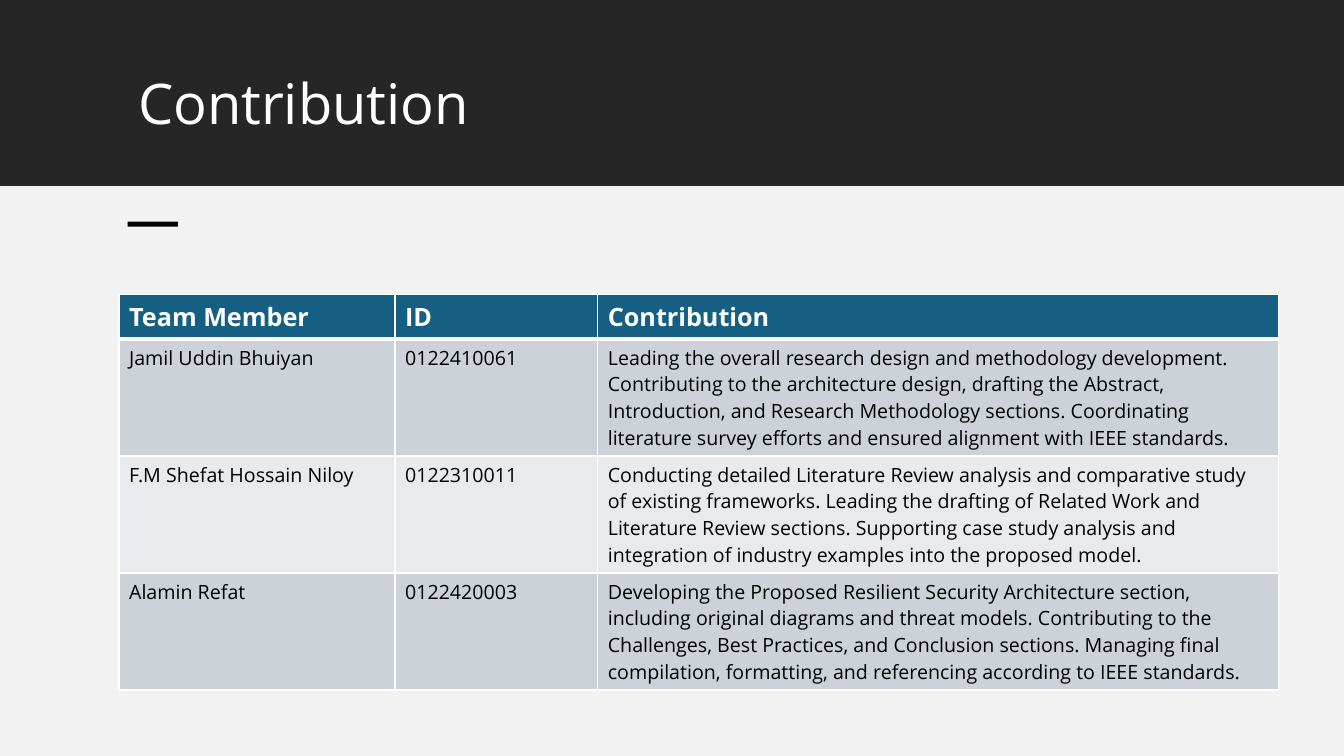
import pptx
import pptx.dml.color
import pptx.enum.shapes
import pptx.enum.text
import pptx.oxml
import pptx.oxml.ns
import pptx.util
from pptx.dml.color import RGBColor
from pptx.util import Pt

FONT = "Open Sans"
WHITE = RGBColor(0xFF, 0xFF, 0xFF)
BLACK = RGBColor(0x00, 0x00, 0x00)
CHARCOAL = RGBColor(0x26, 0x26, 0x26)
PALE_GREY = RGBColor(0xF2, 0xF2, 0xF2)
TEAL = RGBColor(0x15, 0x60, 0x82)
ROW_DARK = RGBColor(0xCC, 0xD2, 0xD8)
ROW_LIGHT = RGBColor(0xE8, 0xEA, 0xED)

PAGE_WIDTH, PAGE_HEIGHT = 960, 540
HEADER_HEIGHT = 133
COLUMN_WIDTHS = (197.2, 144.8, 486)
ROW_HEIGHT = 29.2

MEMBERS = (
    ("Team Member", "ID", "Contribution"),
    ("Jamil Uddin Bhuiyan", "0122410061",
     "Leading the overall research design and methodology development. "
     "Contributing to the architecture design, drafting the Abstract, "
     "Introduction, and Research Methodology sections. Coordinating "
     "literature survey efforts and ensured alignment with IEEE standards."),
    ("F.M Shefat Hossain Niloy", "0122310011",
     "Conducting detailed Literature Review analysis and comparative study "
     "of existing frameworks. Leading the drafting of Related Work and "
     "Literature Review sections. Supporting case study analysis and "
     "integration of industry examples into the proposed model."),
    ("Alamin Refat", "0122420003",
     "Developing the Proposed Resilient Security Architecture section, "
     "including original diagrams and threat models. Contributing to the "
     "Challenges, Best Practices, and Conclusion sections. Managing final "
     "compilation, formatting, and referencing according to IEEE standards."),
)


def add_block(page, left, top, width, height, color):
    block = page.shapes.add_shape(
        pptx.enum.shapes.MSO_SHAPE.RECTANGLE,
        Pt(left), Pt(top), Pt(width), Pt(height))
    block.shadow.inherit = False
    block.fill.solid()
    block.fill.fore_color.rgb = color
    block.line.fill.background()


def style_paragraph(para, size, color, bold=False):
    para.font.name = FONT
    para.font.size = Pt(size)
    para.font.color.rgb = color
    para.font.bold = bold


def add_header(page, left, top, width, height):
    add_block(page, left, top, width, height, CHARCOAL)
    title = page.shapes.title
    page.shapes._spTree.append(title._element)  # bring above the band
    title.left, title.top = Pt(left + 91.4), Pt(top + 50.8)
    title.width, title.height = Pt(778.3), Pt(70.6)
    frame = title.text_frame
    frame.text = "Contribution"
    frame.vertical_anchor = pptx.enum.text.MSO_ANCHOR.TOP
    para = frame.paragraphs[0]
    para.alignment = pptx.enum.text.PP_ALIGN.LEFT
    para.line_spacing = 0.9
    style_paragraph(para, 40, WHITE)


def set_borders(cell, bottom_width):
    """Give the cell white edges; call before its fill is set."""
    properties = cell._tc.get_or_add_tcPr()
    for edge, width in (("L", 1), ("R", 1), ("T", 1), ("B", bottom_width)):
        properties.append(pptx.oxml.parse_xml(
            f'<a:ln{edge} {pptx.oxml.ns.nsdecls("a")} w="{Pt(width)}">'
            f'<a:solidFill><a:srgbClr val="{WHITE}"/></a:solidFill>'
            f'</a:ln{edge}>'))


def add_member_table(page, left, top):
    holder = page.shapes.add_table(
        len(MEMBERS), len(COLUMN_WIDTHS), Pt(left), Pt(top),
        Pt(sum(COLUMN_WIDTHS)), Pt(ROW_HEIGHT * len(MEMBERS)))
    table = holder.table
    for column, width in zip(table.columns, COLUMN_WIDTHS):
        column.width = Pt(width)
    for row_index, values in enumerate(MEMBERS):
        is_header = row_index == 0
        banding = ROW_DARK if row_index % 2 else ROW_LIGHT
        for column_index, value in enumerate(values):
            cell = table.cell(row_index, column_index)
            set_borders(cell, 3 if is_header else 1)
            cell.fill.solid()
            cell.fill.fore_color.rgb = TEAL if is_header else banding
            cell.text = value
            para = cell.text_frame.paragraphs[0]
            if is_header:
                style_paragraph(para, 18, WHITE, bold=True)
            else:
                style_paragraph(para, 14, BLACK)


def add_body(page, left, top, width, height):
    add_block(page, left, top, width, height, PALE_GREY)
    add_block(page, left + 91.2, top + 25.3, 36, 3.6, BLACK)
    add_member_table(page, left + 85, top + 77.5)


def main():
    deck = pptx.Presentation()
    deck.slide_width, deck.slide_height = Pt(PAGE_WIDTH), Pt(PAGE_HEIGHT)
    page = deck.slides.add_slide(deck.slide_layouts[5])
    add_header(page, 0, 0, PAGE_WIDTH, HEADER_HEIGHT)
    add_body(page, 0, HEADER_HEIGHT, PAGE_WIDTH, PAGE_HEIGHT - HEADER_HEIGHT)
    deck.save("out.pptx")


if __name__ == "__main__":
    main()
